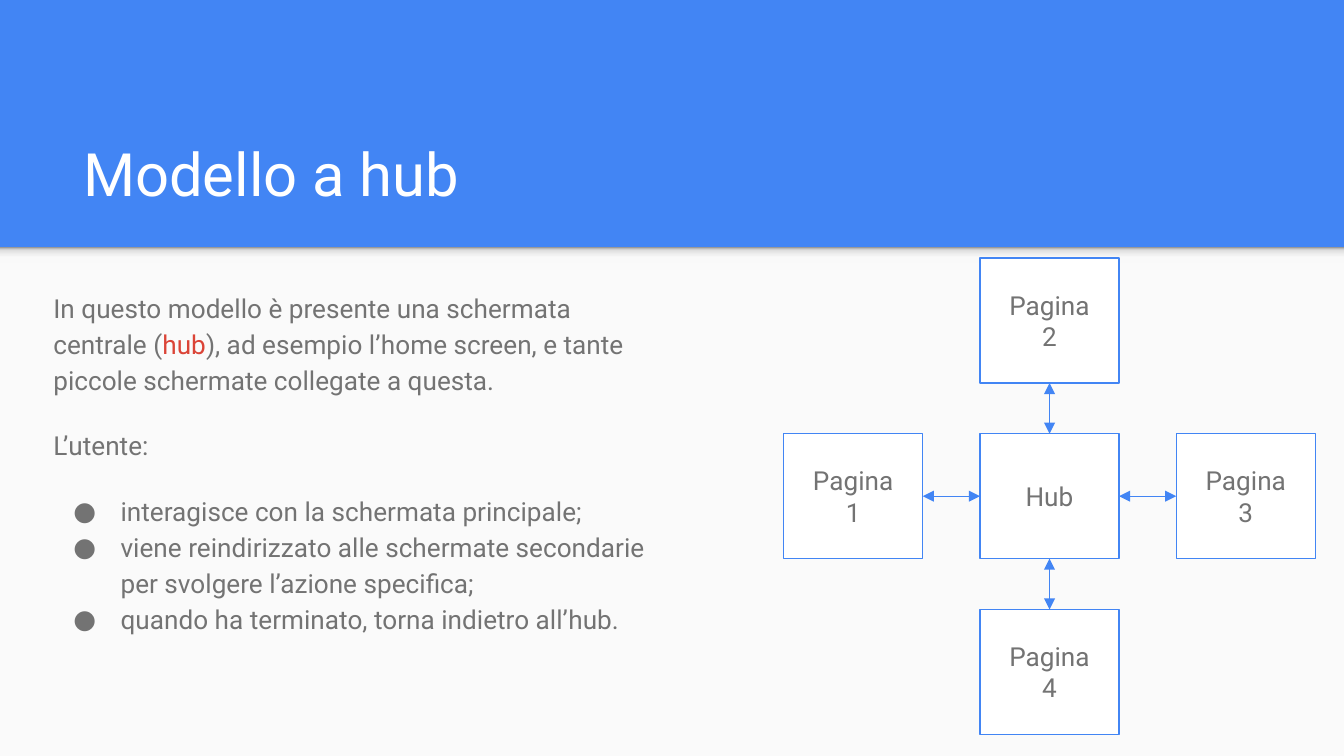
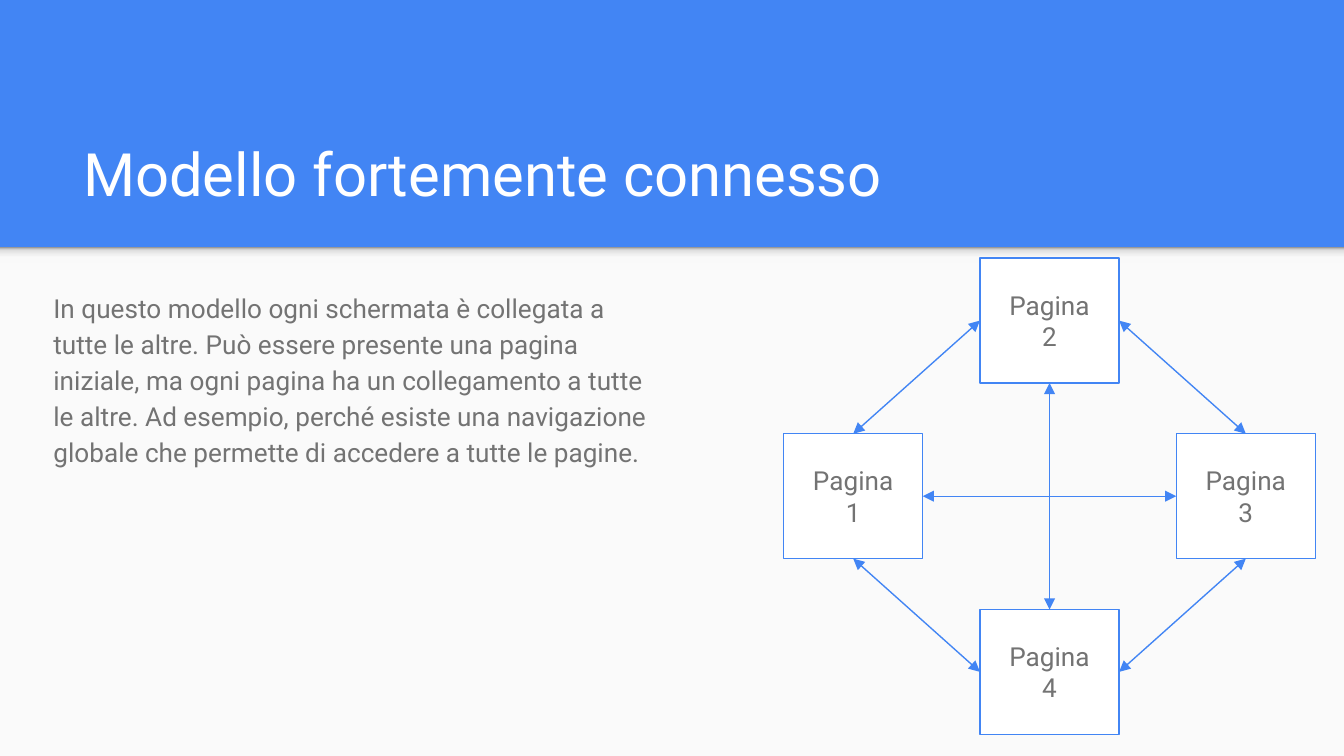
import pptx
import pptx.dml.color
import pptx.enum.shapes
import pptx.enum.text
import pptx.oxml.ns
import pptx.util
from lxml import etree

Cm = pptx.util.Cm
Pt = pptx.util.Pt
RGB = pptx.dml.color.RGBColor
qn = pptx.oxml.ns.qn
SHAPE = pptx.enum.shapes.MSO_SHAPE
LINE = pptx.enum.shapes.MSO_CONNECTOR.STRAIGHT
ANCHOR = pptx.enum.text.MSO_ANCHOR
CENTER = pptx.enum.text.PP_ALIGN.CENTER

BLUE = RGB(0x42, 0x85, 0xF4)
PAPER = RGB(0xFA, 0xFA, 0xFA)
WHITE = RGB(0xFF, 0xFF, 0xFF)
GREY = RGB(0x73, 0x73, 0x73)
RED = RGB(0xDB, 0x44, 0x37)
SHADE = [(0, RGB(0xF9, 0xF9, 0xF9)), (36, RGB(0xF9, 0xF9, 0xF9)),
         (80, RGB(0xDE, 0xDE, 0xDE)), (100, RGB(0x99, 0x99, 0x99))]

WIDE, HIGH, BAND = 25.4, 14.29, 4.67
BOX_W, BOX_H = 2.63, 2.36
LEFT, TOP = 14.81, 4.88
STEP_X, STEP_Y = 3.71, 3.32
N, W, S, E = range(4)
PAGES = {"1": (0, 1), "2": (1, 0), "3": (2, 1), "4": (1, 2)}


class Deck:
    def __init__(self, font="Roboto"):
        self.font = font
        self.file = pptx.Presentation()
        self.file.slide_width = Cm(WIDE)
        self.file.slide_height = Cm(HIGH)
        self.slide = None

    def start(self, title):
        self.slide = self.file.slides.add_slide(self.file.slide_layouts[6])
        back = self.slide.background.fill
        back.solid()
        back.fore_color.rgb = BLUE
        self.rect(0, BAND, WIDE, HIGH - BAND, PAPER)
        self.shade(0, BAND, WIDE, 0.3)
        self.label(1.32, 2.06, 22.83, 2.13, ANCHOR.BOTTOM).add(
            [(title, WHITE)], 32)

    def rect(self, x, y, w, h, fill, line=None):
        shape = self.slide.shapes.add_shape(
            SHAPE.RECTANGLE, Cm(x), Cm(y), Cm(w), Cm(h))
        shape.shadow.inherit = False
        shape.fill.solid()
        shape.fill.fore_color.rgb = fill
        if line is None:
            shape.line.fill.background()
        else:
            shape.line.color.rgb = line
            shape.line.width = Pt(0.75)
        return shape

    def shade(self, x, y, w, h):
        shape = self.rect(x, y, w, h, PAPER)
        shape.fill.gradient()
        shape.fill.gradient_angle = 90
        stops = shape._element.spPr.find(qn("a:gradFill")).find(qn("a:gsLst"))
        stops.clear()
        for place, tint in SHADE:
            stop = etree.SubElement(stops, qn("a:gs"), pos=str(place * 1000))
            etree.SubElement(stop, qn("a:srgbClr"), val=str(tint))

    def label(self, x, y, w, h, anchor=ANCHOR.TOP):
        shape = self.slide.shapes.add_textbox(Cm(x), Cm(y), Cm(w), Cm(h))
        return Text(shape.text_frame, self.font, anchor)

    def box(self, spot, *lines):
        col, row = spot
        shape = self.rect(LEFT + col * STEP_X, TOP + row * STEP_Y,
                          BOX_W, BOX_H, WHITE, BLUE)
        text = Text(shape.text_frame, self.font, ANCHOR.MIDDLE)
        for line in lines:
            text.add([(line, GREY)]).alignment = CENTER
        return shape

    def pages(self):
        return {name: self.box(spot, "Pagina", name)
                for name, spot in PAGES.items()}

    def arrow(self, start, out, end, into):
        link = self.slide.shapes.add_connector(LINE, 0, 0, 0, 0)
        link.begin_connect(start, out)
        link.end_connect(end, into)
        link.line.color.rgb = BLUE
        link.line.width = Pt(0.75)
        line = link.line._get_or_add_ln()
        for tip in ("a:headEnd", "a:tailEnd"):
            etree.SubElement(line, qn(tip), type="triangle")
        etree.SubElement(link._element.spPr, qn("a:effectLst"))

    def body(self, *paras):
        text = self.label(0.76, 5.18, 11.94, 7.85)
        for runs, gap, dot in paras:
            para = text.add(runs)
            para.line_spacing = 1.15
            if gap:
                para.space_before = Pt(gap)
            if dot:
                text.bullet(para)


class Text:
    def __init__(self, frame, font, anchor):
        self.frame, self.font, self.used = frame, font, False
        frame.word_wrap = True
        frame.vertical_anchor = anchor
        frame.margin_left = frame.margin_right = Cm(0.25)
        frame.margin_top = frame.margin_bottom = Cm(0.25)

    def add(self, runs, size=14):
        para = self.frame.add_paragraph() if self.used else self.frame.paragraphs[0]
        self.used = True
        for words, tint in runs:
            run = para.add_run()
            run.text = words
            run.font.name = self.font
            run.font.size = Pt(size)
            run.font.color.rgb = tint
        return para

    def bullet(self, para):
        props = para._p.get_or_add_pPr()
        props.set("marL", str(Cm(1.27)))
        props.set("indent", str(Cm(-0.89)))
        tint = etree.SubElement(props, qn("a:buClr"))
        etree.SubElement(tint, qn("a:srgbClr"), val=str(GREY))
        etree.SubElement(props, qn("a:buFont"), typeface=self.font)
        etree.SubElement(props, qn("a:buChar"), char="●")


def hub(deck):
    deck.start("Modello a hub")
    deck.body(
        ([("In questo modello è presente una schermata centrale (", GREY),
          ("hub", RED),
          ("), ad esempio l’home screen, e tante piccole schermate "
           "collegate a questa.", GREY)], 0, False),
        ([("L’utente:", GREY)], 16, False),
        ([("interagisce con la schermata principale;", GREY)], 16, True),
        ([("viene reindirizzato alle schermate secondarie per svolgere "
           "l’azione specifica;", GREY)], 0, True),
        ([("quando ha terminato, torna indietro all’hub.", GREY)], 0, True))
    core = deck.box((1, 1), "Hub")
    pages = deck.pages()
    for out, name, into in ((W, "1", E), (E, "3", W), (S, "4", N)):
        deck.arrow(core, out, pages[name], into)
    deck.arrow(pages["2"], S, core, N)


def mesh(deck):
    deck.start("Modello fortemente connesso")
    deck.body(
        ([("In questo modello ogni schermata è collegata a tutte le altre. "
           "Può essere presente una pagina iniziale, ma ogni pagina ha un "
           "collegamento a tutte le altre. Ad esempio, perché esiste una "
           "navigazione globale che permette di accedere a tutte le pagine.",
           GREY)], 0, False))
    pages = deck.pages()
    for start, out, end, into in (
            ("3", W, "1", E), ("2", W, "1", N), ("1", S, "4", W),
            ("2", S, "4", N), ("2", E, "3", N), ("4", E, "3", S)):
        deck.arrow(pages[start], out, pages[end], into)


def main():
    deck = Deck()
    hub(deck)
    mesh(deck)
    deck.file.save("out.pptx")


if __name__ == "__main__":
    main()
